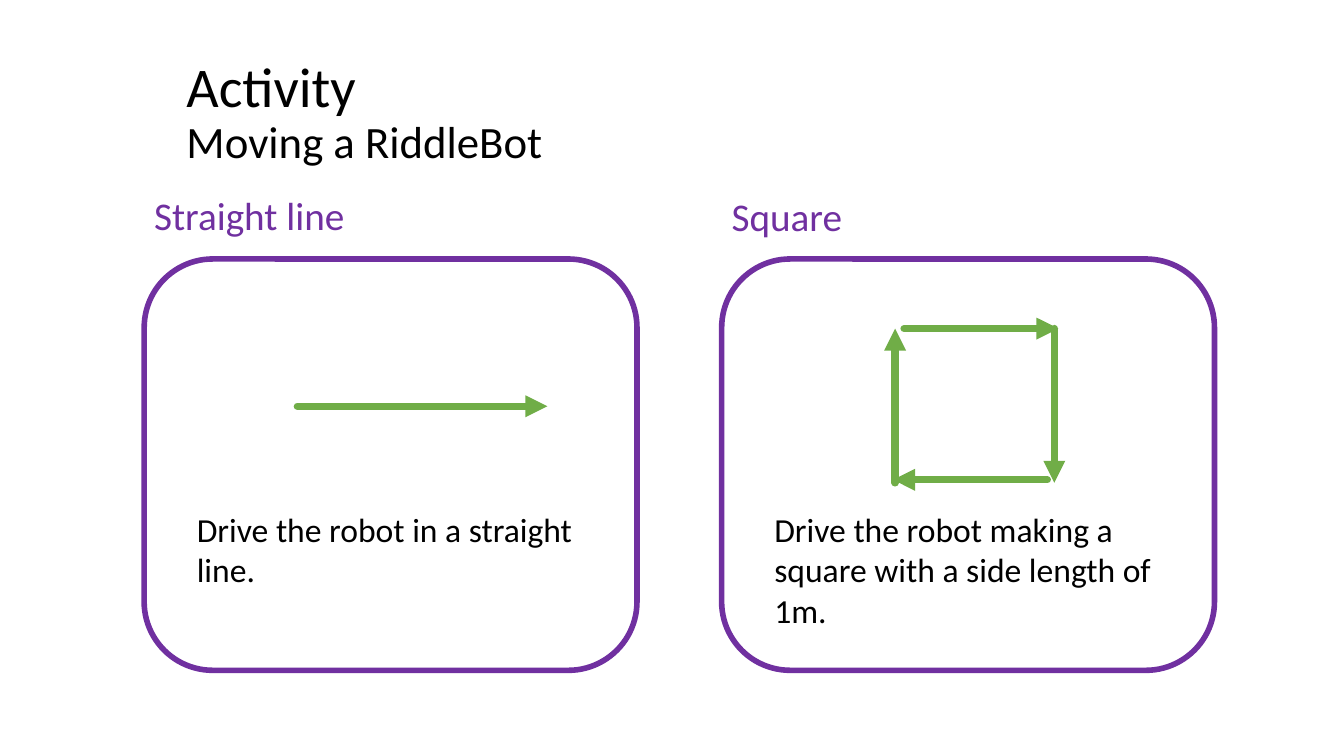
"""Build the activity slide with two robot driving tasks."""
from dataclasses import dataclass

from lxml import etree
from pptx import Presentation
from pptx.dml.color import RGBColor
from pptx.enum.shapes import MSO_CONNECTOR, MSO_SHAPE
from pptx.enum.text import MSO_ANCHOR, MSO_AUTO_SIZE, PP_ALIGN
from pptx.oxml.ns import qn
from pptx.slide import Slide
from pptx.text.text import Font
from pptx.util import Pt

STRAIGHT = MSO_CONNECTOR.STRAIGHT
ROUNDED = MSO_SHAPE.ROUNDED_RECTANGLE
MIDDLE = MSO_ANCHOR.MIDDLE
LEFT = PP_ALIGN.LEFT
NO_FIT = MSO_AUTO_SIZE.NONE
TITLE_ONLY = 5

FONT = "Calibri"
BLACK = "000000"
PURPLE = "7030A0"
GREEN = "70AD47"


@dataclass
class Task:
    """A driving task shown as a heading, a card and a description."""
    heading: str
    description: str
    left: float
    heading_top: float
    description_height: float


@dataclass
class Move:
    """One stretch of the robot's route."""
    x1: float
    y1: float
    x2: float
    y2: float


TASKS = [
    Task("Straight line", "Drive the robot in a straight line.", 103, 133.2, 65.5),
    Task("Square", "Drive the robot making a square with a side length of 1m.",
         515.5, 133.9, 94.3),
]

MOVES = [
    Move(212.4, 290.2, 391, 290.2),
    Move(645.8, 234.7, 756, 234.7),
    Move(753.1, 234.7, 753.1, 344.9),
    Move(748.1, 342.7, 637.9, 342.7),
    Move(639.4, 344.9, 639.4, 234.7),
]


def rgb(value: str) -> RGBColor:
    """Turn a hex string into a colour."""
    return RGBColor.from_string(value)


def style_font(font: Font, size: float, color: str) -> None:
    """Set typeface, size and colour."""
    font.name = FONT
    font.size = Pt(size)
    font.color.rgb = rgb(color)


def add_title(slide: Slide) -> None:
    """Fill the title placeholder with a title and a smaller subtitle line."""
    title = slide.shapes.title
    title.left, title.top, title.width, title.height = Pt(126), Pt(28.8), Pt(602.6), Pt(104.4)
    frame = title.text_frame
    frame.text = "Activity\vMoving a RiddleBot"
    frame.auto_size = NO_FIT
    frame.vertical_anchor = MIDDLE
    paragraph = frame.paragraphs[0]
    paragraph.alignment = LEFT
    paragraph.line_spacing = 0.9
    for run, size in zip(paragraph.runs, (40, 32)):
        style_font(run.font, size, BLACK)
    line_break = paragraph._p.find(qn("a:br"))
    etree.SubElement(line_break, qn("a:rPr"), sz="4000")


def add_label(slide: Slide, text: str, left: float, top: float, width: float,
              height: float, size: float, color: str) -> None:
    """Add a wrapped, left-aligned text box."""
    label = slide.shapes.add_textbox(Pt(left), Pt(top), Pt(width), Pt(height))
    frame = label.text_frame
    frame.word_wrap = True
    frame.text = text
    style_font(frame.paragraphs[0].runs[0].font, size, color)


def add_task(slide: Slide, task: Task) -> None:
    """Draw one task's heading, card and description."""
    add_label(slide, task.heading, task.left, task.heading_top, 239, 41, 28, PURPLE)
    card = slide.shapes.add_shape(ROUNDED, Pt(task.left), Pt(185), Pt(352), Pt(293.8))
    card.shadow.inherit = False
    card.fill.background()
    card.line.color.rgb = rgb(PURPLE)
    card.line.width = Pt(4)
    add_label(slide, task.description, task.left + 30.5, 360, 290.2,
              task.description_height, 24, BLACK)


def add_move(slide: Slide, move: Move) -> None:
    """Draw a round-capped arrow along one stretch of the route."""
    arrow = slide.shapes.add_connector(
        STRAIGHT, Pt(move.x1), Pt(move.y1), Pt(move.x2), Pt(move.y2))
    arrow.line.color.rgb = rgb(GREEN)
    arrow.line.width = Pt(5.25)
    properties = arrow._element.spPr
    stroke = properties.find(qn("a:ln"))
    stroke.set("cap", "rnd")
    etree.SubElement(stroke, qn("a:tailEnd"), type="triangle")
    etree.SubElement(properties, qn("a:effectLst"))


def main() -> None:
    """Assemble and save the slide."""
    deck = Presentation()
    deck.slide_width, deck.slide_height = Pt(960), Pt(540)
    slide = deck.slides.add_slide(deck.slide_layouts[TITLE_ONLY])
    add_title(slide)
    for task in TASKS:
        add_task(slide, task)
    for move in MOVES:
        add_move(slide, move)
    deck.save("out.pptx")


if __name__ == "__main__":
    main()
